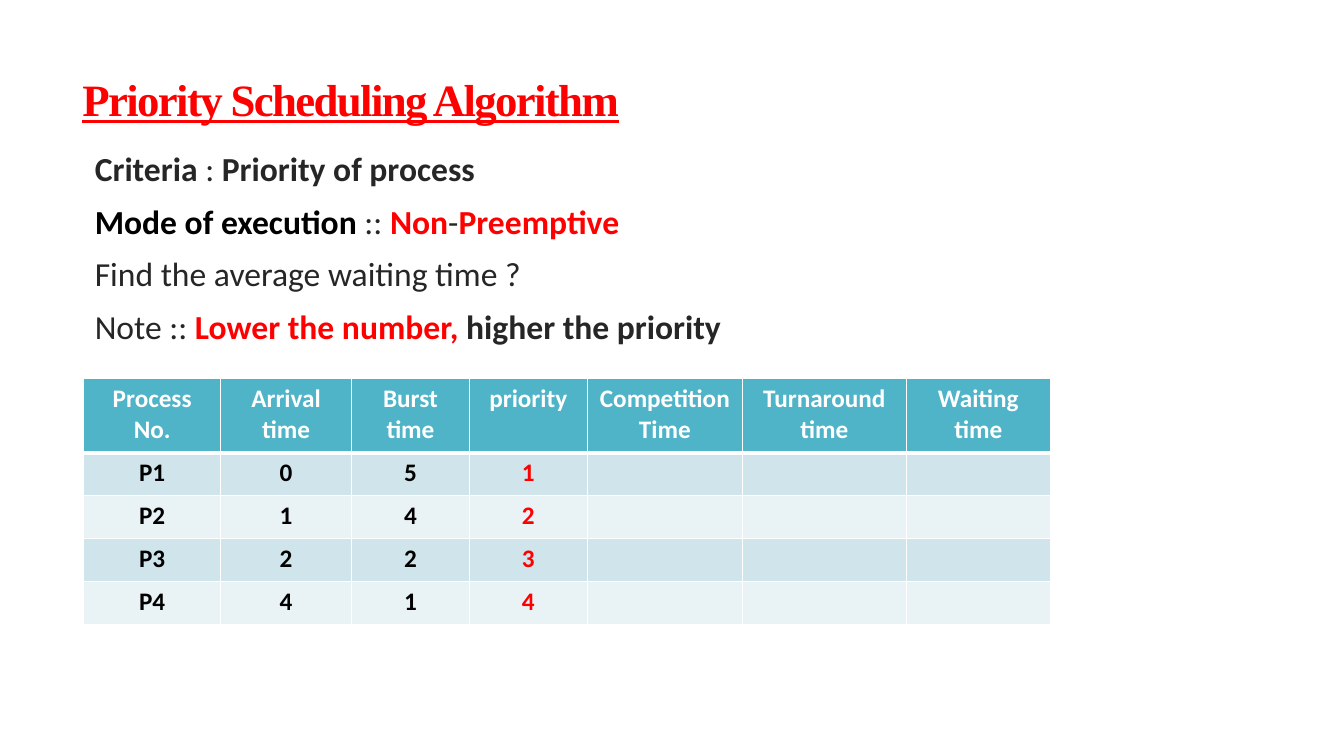
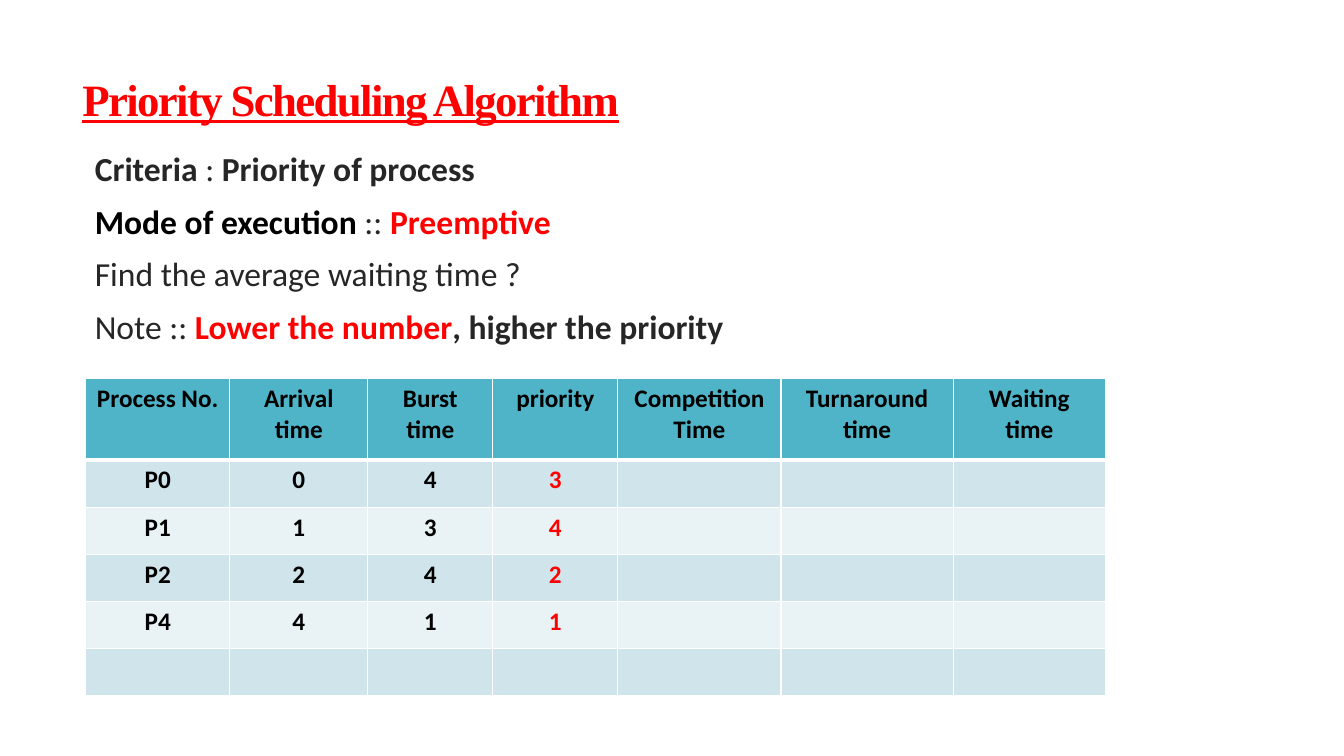
from pptx import Presentation
from pptx.dml.color import RGBColor
from pptx.enum.text import MSO_ANCHOR, PP_ALIGN
from pptx.oxml.ns import qn
from pptx.util import Cm, Pt
from lxml.etree import SubElement

RED = RGBColor(0xFF, 0x00, 0x00)
BLACK = RGBColor(0x00, 0x00, 0x00)
WHITE = RGBColor(0xFF, 0xFF, 0xFF)
DARK = RGBColor(0x26, 0x26, 0x26)
TEAL = RGBColor(0x50, 0xB4, 0xC8)
BANDS = [RGBColor(0xD0, 0xE5, 0xEB), RGBColor(0xE9, 0xF2, 0xF5)]

TITLE = "Priority Scheduling Algorithm"
HEADERS = ["Process No.", "Arrival time", "Burst time", "priority",
           "Competition Time", "Turnaround time", "Waiting time"]
PRIORITY_COL = HEADERS.index("priority")

SLIDES = [
    {
        "mode": [("Non", RED, True), ("-", DARK, False), ("Preemptive", RED, True)],
        "note": [("Lower the number,", RED, True), (" higher the priority", DARK, True)],
        "rows": [("P1", 0, 5, 1), ("P2", 1, 4, 2), ("P3", 2, 2, 3), ("P4", 4, 1, 4)],
        "left": 2.11,
        "cols": [3.45, 3.3, 2.97, 2.97, 3.91, 4.13, 3.63],
        "heights": (1.88, 1.08),
        "header_color": WHITE,
    },
    {
        "mode": [("Preemptive", RED, True)],
        "note": [("Lower the number", RED, True), (", higher the priority", DARK, True)],
        "rows": [("P0", 0, 4, 3), ("P1", 1, 3, 4), ("P2", 2, 4, 2), ("P4", 4, 1, 1), ()],
        "left": 2.16,
        "cols": [3.63, 3.48, 3.15, 3.15, 4.11, 4.34, 3.84],
        "heights": (2.06, 1.19),
        "header_color": BLACK,
    },
]


def body_lines(mode, note):
    return [
        [("Criteria", DARK, True), (" : ", DARK, False), ("Priority of process", DARK, True)],
        [("Mode of execution ", BLACK, True), (":: ", DARK, False), *mode],
        [("Find the average waiting time ?", DARK, False)],
        [("Note :: ", DARK, False), *note],
    ]


def add_text_frame(s, left, top, width, height):
    tf = s.shapes.add_textbox(Cm(left), Cm(top), Cm(width), Cm(height)).text_frame
    tf.word_wrap = True
    return tf


def add_title(s):
    tf = add_text_frame(s, 1.83, 1.4, 29.92, 2.39)
    tf.vertical_anchor = MSO_ANCHOR.MIDDLE
    p = tf.paragraphs[0]
    p.line_spacing = 0.85
    p.font.name, p.font.size = "Times New Roman", Pt(32)
    p.font.bold = p.font.underline = True
    p.font.color.rgb = RED
    r = p.add_run()
    r.text = TITLE
    r._r.get_or_add_rPr().set("spc", "-120")


def add_body(s, lines):
    tf = add_text_frame(s, 1.88, 3.76, 29.87, 5.6)
    tf.margin_left = Cm(0.51)
    for i, line in enumerate(lines):
        p = tf.add_paragraph() if i else tf.paragraphs[0]
        p.line_spacing, p.space_before = 0.85, Pt(13)
        p.font.name, p.font.size = "Calibri", Pt(24)
        for text, color, bold in line:
            r = p.add_run()
            r.text = text
            r.font.bold = bold
            r.font.color.rgb = color


def set_borders(cell, widths):
    tcPr = cell._tc.get_or_add_tcPr()
    for side, width in zip("LRTB", widths):
        ln = SubElement(tcPr, qn(f"a:ln{side}"), w=str(Pt(width)))
        fill = SubElement(ln, qn("a:solidFill"))
        SubElement(fill, qn("a:srgbClr"), val=str(WHITE))


def add_process_table(s, left, cols, heights, rows, header_color):
    header_height, row_height = heights
    grid = [HEADERS, *rows]
    table = s.shapes.add_table(
        len(grid), len(cols), Cm(left), Cm(9.53), Cm(sum(cols)),
        Cm(header_height + row_height * len(rows))).table
    for col, width in zip(table.columns, cols):
        col.width = Cm(width)
    for i, values in enumerate(grid):
        table.rows[i].height = Cm(row_height if i else header_height)
        for j in range(len(cols)):
            cell = table.cell(i, j)
            set_borders(cell, (1, 1, 3 if i == 1 else 1, 1 if i else 3))
            cell.fill.solid()
            cell.fill.fore_color.rgb = BANDS[(i - 1) % 2] if i else TEAL
            p = cell.text_frame.paragraphs[0]
            p.alignment = PP_ALIGN.CENTER
            p.font.name, p.font.size, p.font.bold = "Calibri", Pt(18), True
            body_color = RED if j == PRIORITY_COL else BLACK
            p.font.color.rgb = body_color if i else header_color
            if j < len(values):
                p.add_run().text = str(values[j])


def main():
    prs = Presentation()
    prs.slide_width, prs.slide_height = Cm(33.87), Cm(19.05)
    for d in SLIDES:
        s = prs.slides.add_slide(prs.slide_layouts[6])
        add_title(s)
        add_body(s, body_lines(d["mode"], d["note"]))
        add_process_table(s, d["left"], d["cols"], d["heights"], d["rows"], d["header_color"])
    prs.save("out.pptx")


if __name__ == "__main__":
    main()
